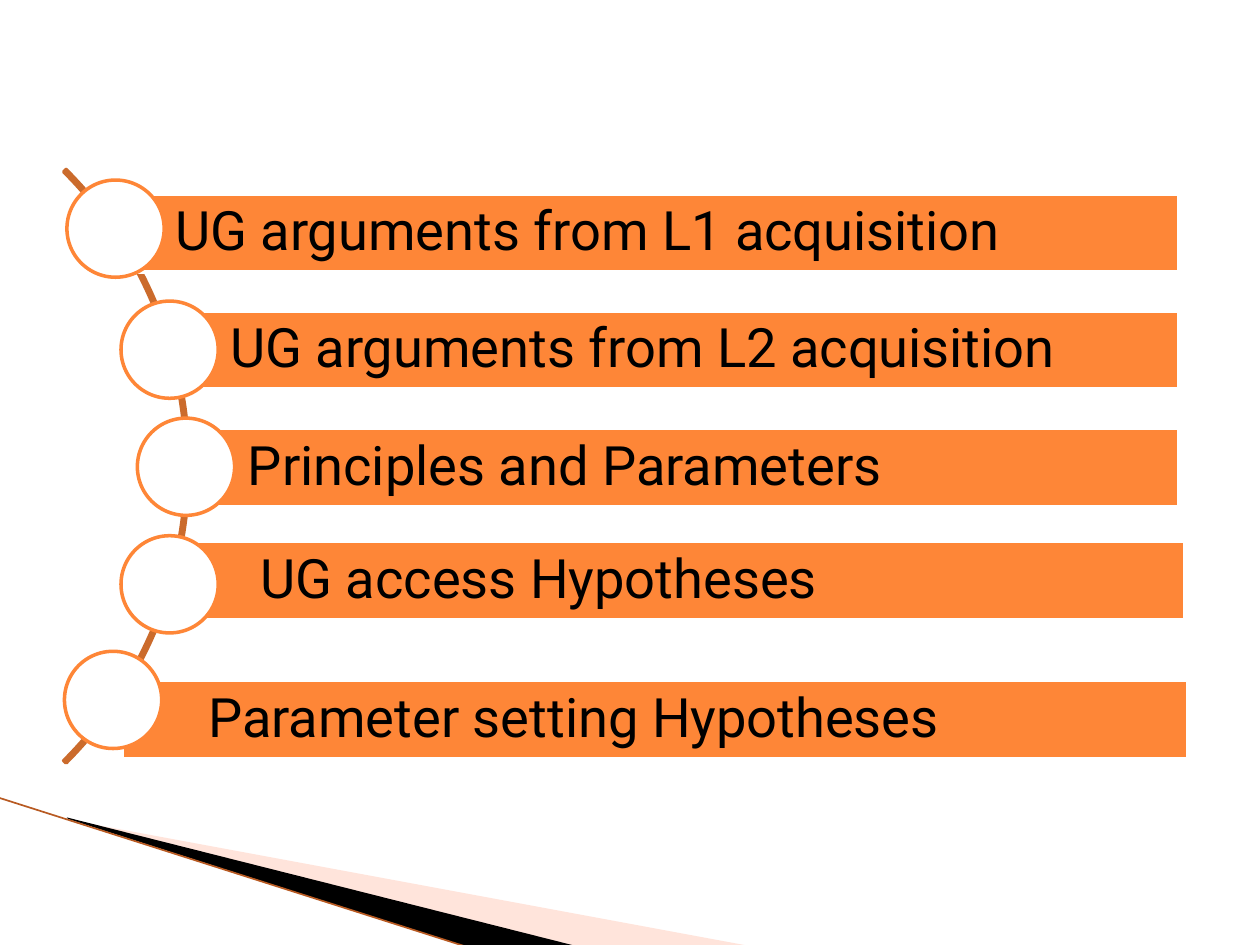
"""Build a slide with five topics strung along an arc."""
import pptx
import pptx.util
import pptx.dml.color
import pptx.enum.shapes
import pptx.enum.text
import pptx.oxml

Cm, Pt = pptx.util.Cm, pptx.util.Pt
KIND = pptx.enum.shapes.MSO_SHAPE
TEXT = pptx.enum.text

HUES = {"bar": "FE8637", "arc": "CB6B2C", "edge": "B85A22",
        "pale": "FFBCA5", "ink": "000000", "white": "FFFFFF"}

TOPICS = [
    ("UG arguments from L1 acquisition", (2.29, 3.91), 23.77, 0, (1.35, 3.63)),
    ("UG arguments from L2 acquisition", (3.4, 6.27), 23.77, 0, (2.44, 6.07)),
    ("Principles and Parameters", (3.76, 8.64), 23.77, 0, (2.77, 8.43)),
    ("UG access Hypotheses", (3.51, 10.92), 23.88, 0.5, (2.44, 10.8)),
    ("Parameter setting Hypotheses", (2.46, 13.72), 23.95, 0.5, (1.3, 13.13)),
]
WEDGES = [
    ("pale", 40, [(1.4, 16.53), (15.11, 19.07), (11.58, 19.07), (1.4, 16.51)]),
    ("ink", 100, [(1.35, 16.48), (11.61, 19.07), (9.45, 19.1), (1.37, 16.51)]),
]
EDGE = (-0.03, 16.08, 9.45, 19.1)
ARC = (-13.11, 0.94, 16.92, 16.92)
BEND = (189, 27, 0.004)
TALL, DISC, INSET = 1.57, 1.96, 1.24

FRAME = {"word_wrap": True, "vertical_anchor": TEXT.MSO_ANCHOR.MIDDLE,
         "margin_top": Cm(0.23), "margin_right": Cm(0.23),
         "margin_bottom": Cm(0.23)}
PARA = {"alignment": TEXT.PP_ALIGN.LEFT, "line_spacing": 0.9}
FONT = {"name": "Roboto", "size": Pt(31)}


def hue(name):
    return pptx.dml.color.RGBColor.from_string(HUES[name])


def apply(item, style):
    for key, value in style.items():
        setattr(item, key, value)


def paint(shape, fill=None, line=None):
    shape.shadow.inherit = False
    if fill:
        shape.fill.solid()
        shape.fill.fore_color.rgb = hue(fill)
    else:
        shape.fill.background()
    if line:
        shape.line.color.rgb = hue(line)
        shape.line.width = Pt(2)
    else:
        shape.line.fill.background()


def add(shapes, kind, box, fill, line):
    shape = shapes.add_shape(kind, *map(Cm, box))
    paint(shape, fill, line)
    return shape


def wedge(shapes, name, alpha, points):
    first, *rest = [(Cm(x), Cm(y)) for x, y in points]
    pen = shapes.build_freeform(*first)
    pen.add_line_segments(rest, close=True)
    shape = pen.convert_to_shape()
    paint(shape, name)
    if alpha < 100:
        tint = shape.fill._xPr.find(".//" + pptx.oxml.ns.qn("a:srgbClr"))
        node = pptx.oxml.xmlchemy.OxmlElement("a:alpha")
        node.set("val", str(alpha * 1000))
        tint.append(node)


def edge(shapes):
    line = shapes.add_connector(
        pptx.enum.shapes.MSO_CONNECTOR.STRAIGHT, *map(Cm, EDGE))
    line.line.color.rgb = hue("edge")
    line.line.width = Pt(0.95)
    line._element.spPr.append(pptx.oxml.xmlchemy.OxmlElement("a:effectLst"))


def topic(shapes, words, start, right, extra, spot):
    left, top = start
    bar = add(shapes, KIND.RECTANGLE, (left, top, right - left, TALL),
              "bar", "white")
    frame = bar.text_frame
    apply(frame, FRAME)
    frame.margin_left = Cm(INSET + extra)
    para = frame.paragraphs[0]
    apply(para, PARA)
    run = para.add_run()
    run.text = words
    apply(run.font, FONT)
    run.font.color.rgb = hue("ink")
    add(shapes, KIND.OVAL, (*spot, DISC, DISC), "white", "bar")


def main():
    deck = pptx.Presentation()
    deck.slide_width, deck.slide_height = Cm(25.4), Cm(19.05)
    shapes = deck.slides.add_slide(deck.slide_layouts[6]).shapes
    for part in WEDGES:
        wedge(shapes, *part)
    edge(shapes)
    arc = add(shapes, KIND.BLOCK_ARC, ARC, None, "arc")
    for place, value in enumerate(BEND):
        arc.adjustments[place] = value
    for row in TOPICS:
        topic(shapes, *row)
    deck.save("out.pptx")


if __name__ == "__main__":
    main()
